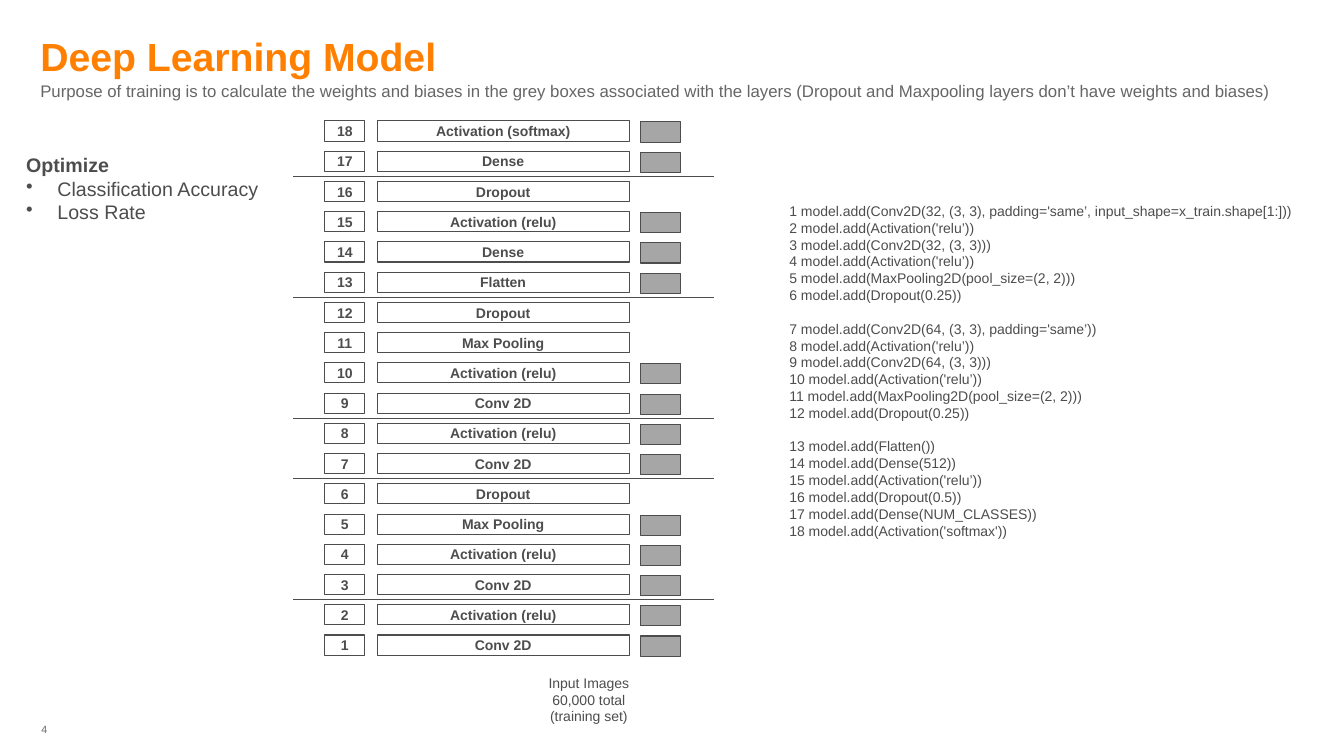
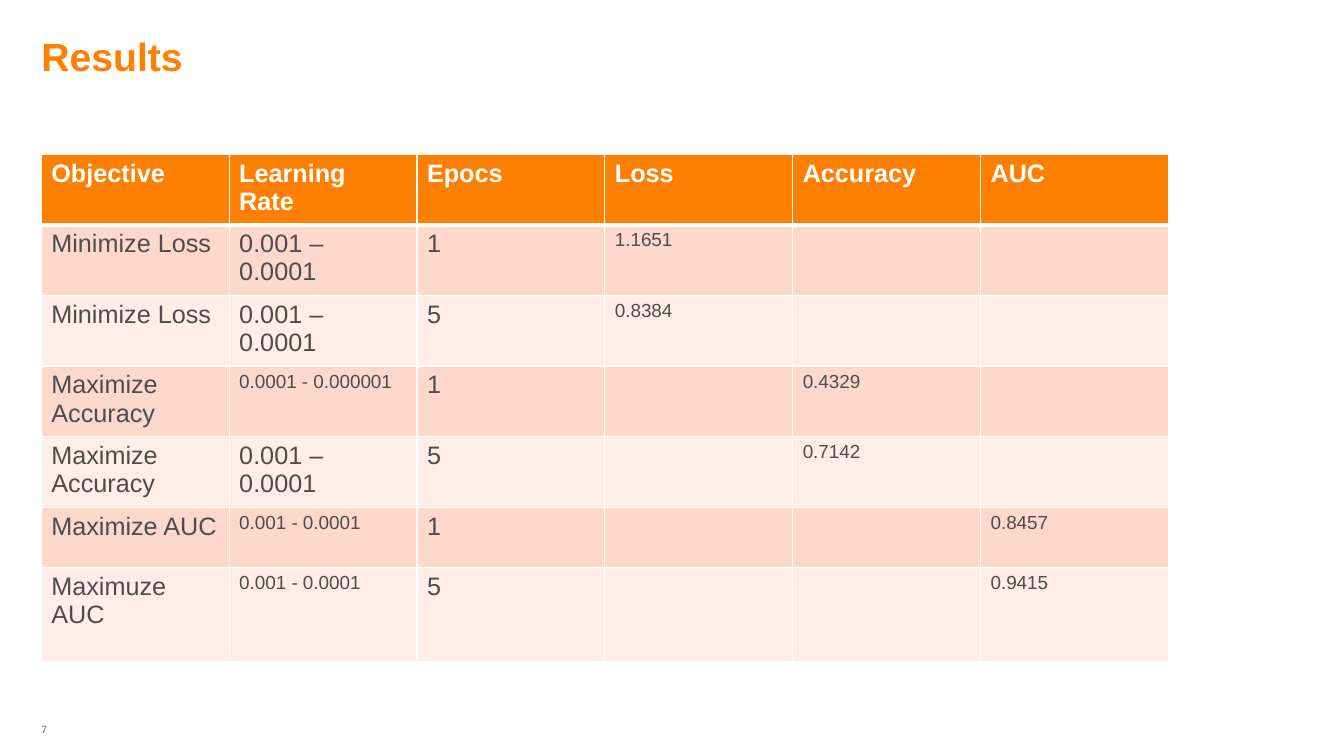
"""Build the deep learning model slide and its results table."""
from lxml.etree import SubElement
from pptx import Presentation
from pptx.dml.color import RGBColor
from pptx.enum.shapes import MSO_CONNECTOR, MSO_SHAPE
from pptx.enum.text import MSO_ANCHOR, PP_ALIGN
from pptx.oxml import parse_xml
from pptx.oxml.ns import nsdecls, qn
from pptx.util import Inches, Pt

ORANGE = RGBColor(0xFF, 0x80, 0x00)
CHARCOAL = RGBColor(0x4D, 0x4D, 0x4D)
MID_GREY = RGBColor(0x66, 0x66, 0x66)
WEIGHT_GREY = RGBColor(0xA6, 0xA6, 0xA6)
WHITE = RGBColor(0xFF, 0xFF, 0xFF)
ROW_TINTS = (RGBColor(0xFF, 0xD8, 0xCC), RGBColor(0xFF, 0xED, 0xE7))
FONT = "Arial"

STACK_TOP, ROW_PITCH, BOX_HEIGHT = 1.2, 0.3, 0.2
NUMBER_COLUMN = (3.22, 0.4)
LAYER_COLUMN = (3.74, 2.5)
WEIGHT_COLUMN = (6.35, 0.4)
DIVIDER_LEFT, DIVIDER_RIGHT = 2.91, 7.08
BULLET_INDENT = 0.31

LAYERS = (
    "Conv 2D", "Activation (relu)", "Conv 2D", "Activation (relu)", "Max Pooling", "Dropout",
    "Conv 2D", "Activation (relu)", "Conv 2D", "Activation (relu)", "Max Pooling", "Dropout",
    "Flatten", "Dense", "Activation (relu)", "Dropout", "Dense", "Activation (softmax)",
)
LAYERS_WITHOUT_WEIGHTS = (6, 11, 12, 16)
LAYERS_BELOW_DIVIDERS = (2, 6, 8, 12, 16)

CODE_GROUPS = (
    (
        "1 model.add(Conv2D(32, (3, 3), padding='same’, input_shape=x_train.shape[1:]))",
        "2 model.add(Activation('relu’))",
        "3 model.add(Conv2D(32, (3, 3)))",
        "4 model.add(Activation('relu’))",
        "5 model.add(MaxPooling2D(pool_size=(2, 2)))",
        "6 model.add(Dropout(0.25))",
    ),
    (
        "7 model.add(Conv2D(64, (3, 3), padding='same’))",
        "8 model.add(Activation('relu’))",
        "9 model.add(Conv2D(64, (3, 3)))",
        "10 model.add(Activation('relu’))",
        "11 model.add(MaxPooling2D(pool_size=(2, 2)))",
        "12 model.add(Dropout(0.25))",
    ),
    (
        "13 model.add(Flatten())",
        "14 model.add(Dense(512))",
        "15 model.add(Activation('relu’))",
        "16 model.add(Dropout(0.5))",
        "17 model.add(Dense(NUM_CLASSES))",
        "18 model.add(Activation('softmax'))",
    ),
)

RESULTS = (
    ("Objective", "Learning Rate", "Epocs", "Loss", "Accuracy", "AUC"),
    ("Minimize Loss", "0.001 – 0.0001", "1", "1.1651", "", ""),
    ("Minimize Loss", "0.001 – 0.0001", "5", "0.8384", "", ""),
    ("Maximize Accuracy", "0.0001 - 0.000001", "1", "", "0.4329", ""),
    ("Maximize Accuracy", "0.001 – 0.0001", "5", "", "0.7142", ""),
    ("Maximize AUC", "0.001 - 0.0001", "1", "", "", "0.8457"),
    ("Maximuze AUC", "0.001 - 0.0001", "5", "", "", "0.9415"),
)
RESULT_ROW_HEIGHTS = (0.66,) * 5 + (0.6, 0.93)


def style(paragraph, size, color=CHARCOAL, bold=False, align=PP_ALIGN.LEFT):
    font = paragraph.font
    font.name, font.size, font.bold = FONT, Pt(size), bold
    font.color.rgb = color
    paragraph.alignment = align


def fill_frame(frame, lines, size, inset=0, anchor=MSO_ANCHOR.TOP, wrap=True, **look):
    frame.margin_left = frame.margin_right = Inches(2 * inset)
    frame.margin_top = frame.margin_bottom = Inches(inset)
    frame.vertical_anchor, frame.word_wrap = anchor, wrap
    frame.text = "\n".join(lines)
    for paragraph in frame.paragraphs:
        style(paragraph, size, **look)


def add_text(slide, box, lines, size, **look):
    frame = slide.shapes.add_textbox(*map(Inches, box)).text_frame
    fill_frame(frame, lines, size, **look)
    return frame.paragraphs


def add_box(slide, column, top, text="", fill=None):
    left, width = column
    shape = slide.shapes.add_shape(
        MSO_SHAPE.RECTANGLE, *map(Inches, (left, top, width, BOX_HEIGHT)))
    shape.shadow.inherit = False
    shape.line.color.rgb, shape.line.width = CHARCOAL, Pt(0.75)
    if fill is None:
        shape.fill.background()
    else:
        shape.fill.solid()
        shape.fill.fore_color.rgb = fill
    if text:
        fill_frame(shape.text_frame, [text], 10, anchor=MSO_ANCHOR.MIDDLE,
                   bold=True, align=PP_ALIGN.CENTER)


def add_divider(slide, y):
    line = slide.shapes.add_connector(
        MSO_CONNECTOR.STRAIGHT, *map(Inches, (DIVIDER_LEFT, y, DIVIDER_RIGHT, y)))
    line.line.color.rgb, line.line.width = CHARCOAL, Pt(1)
    SubElement(line._element.spPr, qn("a:effectLst"))


def add_bullet(paragraph):
    properties = paragraph._p.get_or_add_pPr()
    properties.set("marL", str(Inches(BULLET_INDENT)))
    properties.set("indent", str(-Inches(BULLET_INDENT)))
    bullet = parse_xml(f'<a:buChar {nsdecls("a")} char="•"/>')
    properties.find(qn("a:defRPr")).addprevious(bullet)


def add_slide(presentation, title, number, left):
    slide = presentation.slides.add_slide(presentation.slide_layouts[6])
    add_text(slide, (0.41, 7.17, 0.42, 0.33), [str(number)], 7.5, color=MID_GREY)
    add_text(slide, (left, 0.3, 12.5, 0.5), [title], 28, color=ORANGE, bold=True,
             anchor=MSO_ANCHOR.MIDDLE)
    return slide


def add_layer_stack(slide):
    for number, name in enumerate(LAYERS, 1):
        top = STACK_TOP + (len(LAYERS) - number) * ROW_PITCH
        add_box(slide, NUMBER_COLUMN, top, str(number))
        add_box(slide, LAYER_COLUMN, top, name)
        if number not in LAYERS_WITHOUT_WEIGHTS:
            add_box(slide, WEIGHT_COLUMN, top + 0.01, fill=WEIGHT_GREY)
        if number in LAYERS_BELOW_DIVIDERS:
            add_divider(slide, top - (ROW_PITCH - BOX_HEIGHT) / 2)


def add_code(slide):
    lines = [line for group in CODE_GROUPS for line in group]
    paragraphs = add_text(slide, (7.73, 1.96, 5.31, 3.47), lines, 10, inset=0.05)
    start = 0
    for group in CODE_GROUPS[:-1]:
        start += len(group)
        paragraphs[start].space_before = Pt(12)


def add_borders(cell, top, bottom):
    properties = cell._tc.get_or_add_tcPr()
    for index, (side, width) in enumerate(zip("LRTB", (1, 1, top, bottom))):
        properties.insert(index, parse_xml(
            f'<a:ln{side} {nsdecls("a")} w="{Pt(width)}"><a:solidFill>'
            f'<a:srgbClr val="{WHITE}"/></a:solidFill></a:ln{side}>'))


def result_size(text, column):
    is_small = column > 2 or (column == 1 and " - " in text)
    return 13.5 if is_small else 18


def add_results(slide):
    box = map(Inches, (0.41, 1.53, 11.18, sum(RESULT_ROW_HEIGHTS)))
    table = slide.shapes.add_table(len(RESULTS), len(RESULTS[0]), *box).table
    table.first_row = table.horz_banding = False
    for row, (height, texts) in enumerate(zip(RESULT_ROW_HEIGHTS, RESULTS)):
        table.rows[row].height = Inches(height)
        is_header = row == 0
        for column, text in enumerate(texts):
            cell = table.cell(row, column)
            cell.text = text
            style(cell.text_frame.paragraphs[0],
                  18 if is_header else result_size(text, column),
                  color=WHITE if is_header else CHARCOAL, bold=is_header)
            cell.fill.solid()
            cell.fill.fore_color.rgb = ORANGE if is_header else ROW_TINTS[(row - 1) % 2]
            add_borders(cell, 3 if row == 1 else 1, 3 if is_header else 1)


def build_model_slide(presentation):
    slide = add_slide(presentation, "Deep Learning Model", 4, 0.4)
    add_text(slide, (0.4, 0.8, 12.5, 0.3), [
        "Purpose of training is to calculate the weights and biases in the grey boxes "
        "associated with the layers (Dropout and Maxpooling layers don’t have weights and biases)"
    ], 12, color=MID_GREY)
    add_code(slide)
    add_text(slide, (5.44, 6.69, 0.8, 0.5),
             ["Input Images", "60,000 total", "(training set)"], 10,
             wrap=False, align=PP_ALIGN.CENTER)
    add_layer_stack(slide)
    heading, *goals = add_text(slide, (0.26, 1.52, 2.32, 0.71),
                               ["Optimize", "Classification Accuracy", "Loss Rate"], 14,
                               wrap=False)
    heading.font.bold = True
    for goal in goals:
        add_bullet(goal)


def build_results_slide(presentation):
    slide = add_slide(presentation, "Results", 7, 0.41)
    add_results(slide)


def main():
    presentation = Presentation()
    presentation.slide_width, presentation.slide_height = Inches(13.33), Inches(7.5)
    build_model_slide(presentation)
    build_results_slide(presentation)
    presentation.save("out.pptx")


if __name__ == "__main__":
    main()
